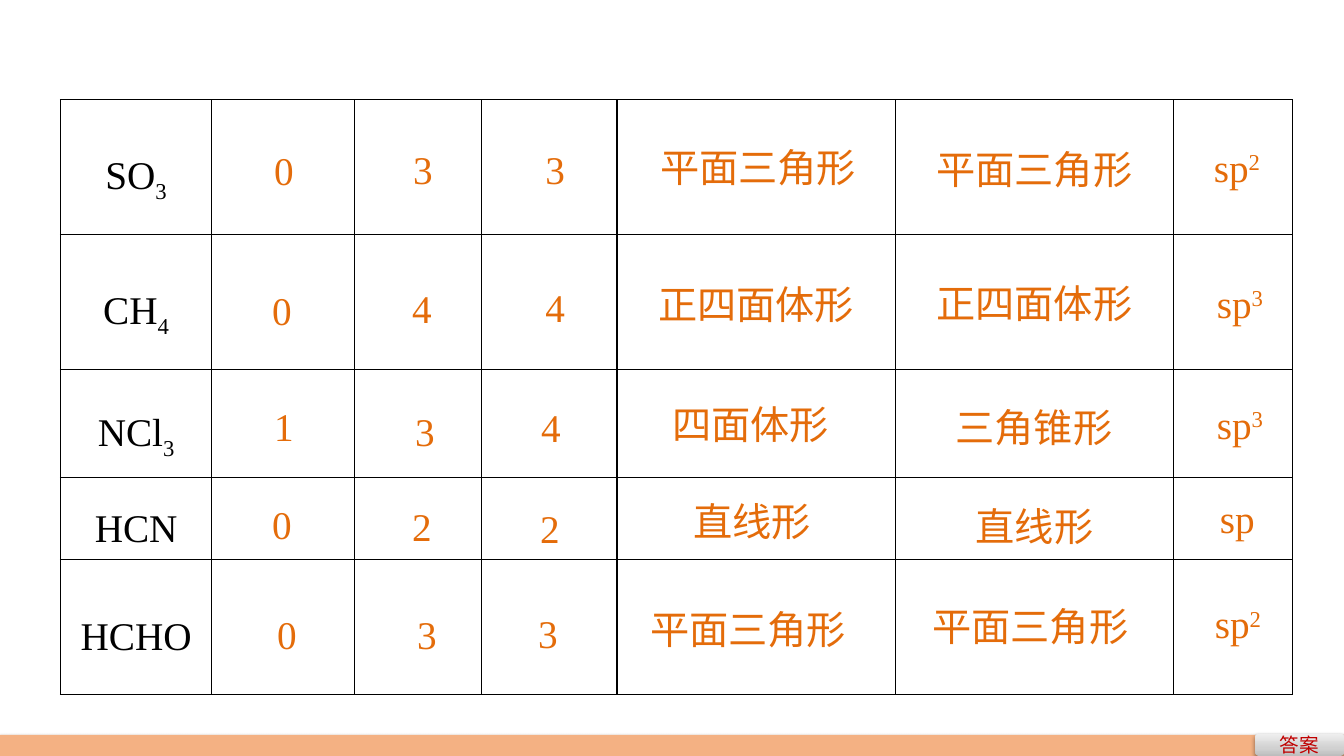
import copy
import pptx
import pptx.dml.color
import pptx.enum.shapes
import pptx.enum.text
import pptx.oxml
import pptx.oxml.ns
import pptx.util
from pptx.util import Inches

NAMESPACE = pptx.oxml.ns.nsdecls("a")
BASELINES = {"_": "-25000", "^": "30000"}
COLUMNS = [1.5, 1.42, 1.26, 1.34, 2.76, 2.76, 1.18]
ROWS = [1.34, 1.34, 1.07, 0.81, 1.34]
MOLECULES = ["SO_3", "CH_4", "NCl_3", "HCN", "HCHO"]
TEXT_WIDTHS = {"sp": 0.55, "sp^2": 0.68, "sp^3": 0.68, "直线形": 1.38,
               "四面体形": 1.77, "三角锥形": 1.77, "平面三角形": 2.17, "正四面体形": 2.17}
DIGIT_WIDTH = 0.4
ANSWERS = [
    [("0", 2.62, 1.4), ("3", 4, 1.39), ("3", 5.31, 1.39),
     ("平面三角形", 6.45, 1.37), ("平面三角形", 9.19, 1.39), ("sp^2", 11.94, 1.37)],
    [("0", 2.6, 2.79), ("4", 3.99, 2.77), ("4", 5.31, 2.76),
     ("正四面体形", 6.43, 2.73), ("正四面体形", 9.19, 2.72), ("sp^3", 11.97, 2.72)],
    [("1", 2.62, 3.94), ("3", 4.02, 3.99), ("4", 5.27, 3.95),
     ("四面体形", 6.57, 3.92), ("三角锥形", 9.38, 3.95), ("sp^3", 11.97, 3.92)],
    [("0", 2.6, 4.91), ("2", 3.99, 4.93), ("2", 5.26, 4.95),
     ("直线形", 6.78, 4.88), ("直线形", 9.58, 4.93), ("sp", 12, 4.85)],
    [("0", 2.65, 6.01), ("3", 4.04, 6.01), ("3", 5.24, 6),
     ("平面三角形", 6.35, 5.96), ("平面三角形", 9.15, 5.93), ("sp^2", 11.95, 5.9)],
]


def color(value):
    return pptx.dml.color.RGBColor.from_string(value)


class Painter:
    latin = "Times New Roman"
    chinese = "Noto Sans CJK SC"
    black = "000000"
    orange = "E46C0A"
    red = "C00000"

    def __init__(self, page):
        self.page = page

    def fill_text(self, para, text, ink, size=28, font=latin):
        para.font.size = pptx.util.Pt(size)
        para.font.name = font
        para.font.color.rgb = color(ink)
        mark = next((sign for sign in BASELINES if sign in text), None)
        base, _, script = text.partition(mark) if mark else (text, "", "")
        para.add_run().text = base
        if script:
            span = para.add_run()
            span.text = script
            span._r.get_or_add_rPr().set("baseline", BASELINES[mark])
        for span in para.runs:
            span._r.get_or_add_rPr().append(pptx.oxml.parse_xml(
                f'<a:ea {NAMESPACE} typeface="{self.chinese}"/>'))

    def border(self, cell):
        for side in "LRTB":
            cell._tc.get_or_add_tcPr().append(pptx.oxml.parse_xml(
                f'<a:ln{side} {NAMESPACE} w="12700"><a:solidFill>'
                f'<a:srgbClr val="{self.black}"/></a:solidFill></a:ln{side}>'))
        cell.fill.background()

    def table(self, left, top):
        table = self.page.shapes.add_table(
            len(ROWS), len(COLUMNS), Inches(left), Inches(top),
            Inches(sum(COLUMNS)), Inches(sum(ROWS))).table
        table.first_row = False
        table.horz_banding = False
        for column, width in zip(table.columns, COLUMNS):
            column.width = Inches(width)
        for row, height in zip(table.rows, ROWS):
            row.height = Inches(height)
        for cell in table.iter_cells():
            self.border(cell)
        for index, molecule in enumerate(MOLECULES):
            cell = table.cell(index, 0)
            cell.vertical_anchor = pptx.enum.text.MSO_ANCHOR.MIDDLE
            cell.margin_left = cell.margin_right = Inches(0.02)
            cell.margin_top = cell.margin_bottom = 0
            para = cell.text_frame.paragraphs[0]
            para.alignment = pptx.enum.text.PP_ALIGN.CENTER
            para.line_spacing = 1.5
            self.fill_text(para, molecule, self.black)

    def answer(self, text, left, top):
        width = TEXT_WIDTHS.get(text, DIGIT_WIDTH)
        box = self.page.shapes.add_textbox(
            Inches(left), Inches(top), Inches(width), Inches(0.57))
        box.text_frame.word_wrap = False
        box.text_frame.auto_size = pptx.enum.text.MSO_AUTO_SIZE.SHAPE_TO_FIT_TEXT
        self.fill_text(box.text_frame.paragraphs[0], text, self.orange)

    def panel(self, kind, left, top, width, height):
        shape = self.page.shapes.add_shape(
            kind, Inches(left), Inches(top), Inches(width), Inches(height))
        shape.line.fill.background()
        shape.shadow.inherit = False
        effects = shape._element.spPr.find(pptx.oxml.ns.qn("a:effectLst"))
        effects.append(pptx.oxml.parse_xml(
            f'<a:outerShdw {NAMESPACE} blurRad="40000" dist="20000" dir="5400000" rotWithShape="0">'
            f'<a:srgbClr val="{self.black}"><a:alpha val="38000"/></a:srgbClr></a:outerShdw>'))
        return shape

    def bar(self, left, top, width, height):
        shape = self.panel(pptx.enum.shapes.MSO_SHAPE.RECTANGLE, left, top, width, height)
        shape.fill.solid()
        shape.fill.fore_color.rgb = color("F4B183")

    def button(self, text, left, top, width, height):
        shape = self.panel(pptx.enum.shapes.MSO_SHAPE.ROUNDED_RECTANGLE, left, top, width, height)
        shape.fill.gradient()
        shape.fill.gradient_angle = 90
        stop_list = shape._element.spPr.find(".//" + pptx.oxml.ns.qn("a:gsLst"))
        stop_list.insert(1, copy.deepcopy(stop_list[0]))
        stops = [(0, "BDBDBD"), (0.35, "D1D1D1"), (1, "EEEEEE")]
        for stop, (position, shade) in zip(shape.fill.gradient_stops, stops):
            stop.position = position
            stop.color.rgb = color(shade)
        shape.text_frame.vertical_anchor = pptx.enum.text.MSO_ANCHOR.MIDDLE
        para = shape.text_frame.paragraphs[0]
        para.alignment = pptx.enum.text.PP_ALIGN.CENTER
        self.fill_text(para, text, self.red, 14, self.chinese)


def main():
    deck = pptx.Presentation()
    deck.slide_width = Inches(13.33)
    deck.slide_height = Inches(7.5)
    painter = Painter(deck.slides.add_slide(deck.slide_layouts[6]))
    painter.table(0.6, 0.99)
    for row in ANSWERS:
        for text, left, top in row:
            painter.answer(text, left, top)
    painter.bar(0, 7.29, 13.34, 0.21)
    painter.button("答案", 12.45, 7.28, 0.88, 0.22)
    deck.save("out.pptx")


if __name__ == "__main__":
    main()
